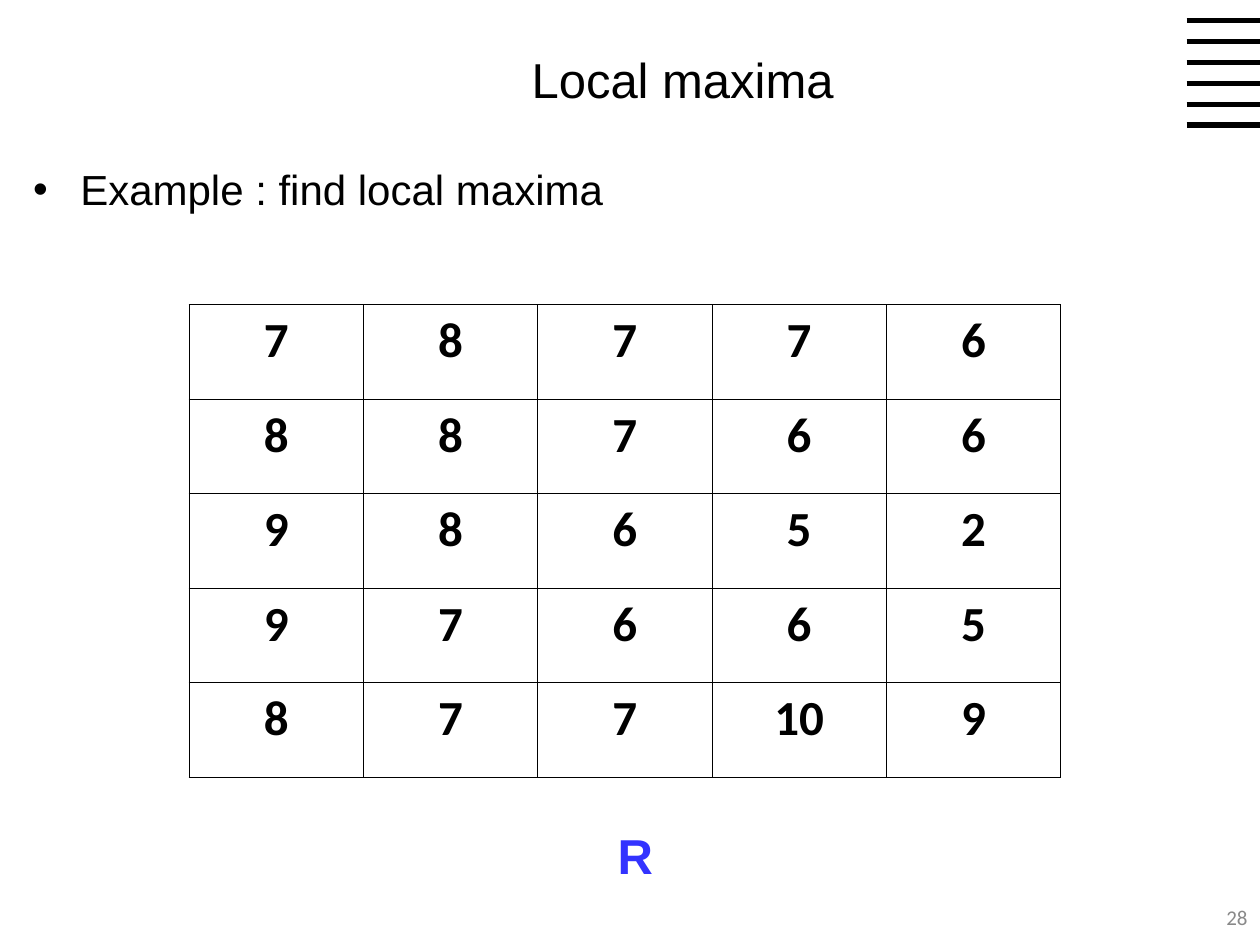
from dataclasses import dataclass
from typing import Any

from lxml.etree import SubElement
from pptx import Presentation
from pptx.dml.color import RGBColor
from pptx.enum.shapes import MSO_CONNECTOR
from pptx.enum.text import MSO_ANCHOR, MSO_AUTO_SIZE, PP_ALIGN
from pptx.oxml.ns import qn
from pptx.util import Cm, Pt

HUES = {"ink": "000000", "blue": "3333FF", "gray": "898989"}


@dataclass
class Label:
    text: str
    box: tuple[float, float, float, float]
    font: dict[str, Any]
    hue: str = "ink"
    align: PP_ALIGN = PP_ALIGN.LEFT
    anchor: MSO_ANCHOR = MSO_ANCHOR.TOP
    wrap: bool = True
    fit: MSO_AUTO_SIZE = MSO_AUTO_SIZE.NONE
    bullet: bool = False


TITLE = Label("Local maxima", (2.33, 0.21, 22.86, 2.75),
              {"name": "Arial", "size": Pt(28)},
              align=PP_ALIGN.CENTER, anchor=MSO_ANCHOR.MIDDLE)
LABELS = [
    Label("Example : find local maxima", (0.42, 3.17, 24.55, 15.45),
          {"name": "Arial", "size": Pt(24)}, bullet=True),
    Label("28", (23.92, 17.99, 1.48, 1.01), {"name": "Calibri", "size": Pt(12)},
          "gray", PP_ALIGN.RIGHT, MSO_ANCHOR.MIDDLE),
    Label("R", (12.2, 16.51, 1.21, 1.45),
          {"name": "Arial", "size": Pt(28), "bold": True}, "blue",
          wrap=False, fit=MSO_AUTO_SIZE.SHAPE_TO_FIT_TEXT),
]
GRID = [
    [7, 8, 7, 7, 6],
    [8, 8, 7, 6, 6],
    [9, 8, 6, 5, 2],
    [9, 7, 6, 6, 5],
    [8, 7, 7, 10, 9],
]
DIGIT = {"name": "Calibri", "size": Pt(28), "bold": True}


def tint(hue: str) -> RGBColor:
    return RGBColor.from_string(HUES[hue])


def style(font: Any, values: dict[str, Any], hue: str) -> None:
    for key, value in values.items():
        setattr(font, key, value)
    font.color.rgb = tint(hue)


def mark(para: Any) -> None:
    """Give a paragraph a hanging round bullet."""
    props = para._p.get_or_add_pPr()
    props.set("marL", str(Cm(0.95)))
    props.set("indent", str(-Cm(0.95)))
    color = SubElement(props, qn("a:buClr"))
    SubElement(color, qn("a:srgbClr"), val=HUES["ink"])
    SubElement(props, qn("a:buFont"), typeface="Arial")
    SubElement(props, qn("a:buChar"), char="•")


def write(shape: Any, label: Label) -> None:
    shape.left, shape.top, shape.width, shape.height = map(Cm, label.box)
    frame = shape.text_frame
    frame.text = label.text
    frame.word_wrap = label.wrap
    frame.auto_size = label.fit
    frame.vertical_anchor = label.anchor
    para = frame.paragraphs[0]
    para.alignment = label.align
    if label.bullet:
        mark(para)
    style(para.runs[0].font, label.font, label.hue)


def rule(slide: Any, y: float) -> None:
    line = slide.shapes.add_connector(
        MSO_CONNECTOR.STRAIGHT, Cm(23.92), Cm(y), Cm(25.4), Cm(y))
    line.line.color.rgb = tint("ink")
    line.line.width = Pt(3)
    SubElement(line._element.spPr, qn("a:effectLst"))


def edge(cell: Any) -> None:
    props = cell._tc.get_or_add_tcPr()
    for side in ("lnL", "lnR", "lnT", "lnB"):
        line = SubElement(props, qn(f"a:{side}"), w=str(Pt(0.45)))
        fill = SubElement(line, qn("a:solidFill"))
        SubElement(fill, qn("a:srgbClr"), val=HUES["ink"])


def matrix(slide: Any, grid: list[list[int]]) -> None:
    table = slide.shapes.add_table(
        len(grid), len(grid[0]), Cm(3.81), Cm(6.14), Cm(17.57), Cm(9.53)).table
    table.first_row = table.horz_banding = False
    for r, row in enumerate(grid):
        for c, value in enumerate(row):
            cell = table.cell(r, c)
            edge(cell)
            cell.fill.background()
            cell.text = str(value)
            para = cell.text_frame.paragraphs[0]
            para.alignment = PP_ALIGN.CENTER
            style(para.runs[0].font, DIGIT, "ink")


def main() -> None:
    deck = Presentation()
    deck.slide_width, deck.slide_height = Cm(25.4), Cm(19.05)
    slide = deck.slides.add_slide(deck.slide_layouts[5])

    # Corner stripes
    for i in range(6):
        rule(slide, 0.42 * (i + 1))

    # Title, text and table
    write(slide.shapes.title, TITLE)
    for label in LABELS:
        write(slide.shapes.add_textbox(*map(Cm, label.box)), label)
    matrix(slide, GRID)

    deck.save("out.pptx")


if __name__ == "__main__":
    main()
